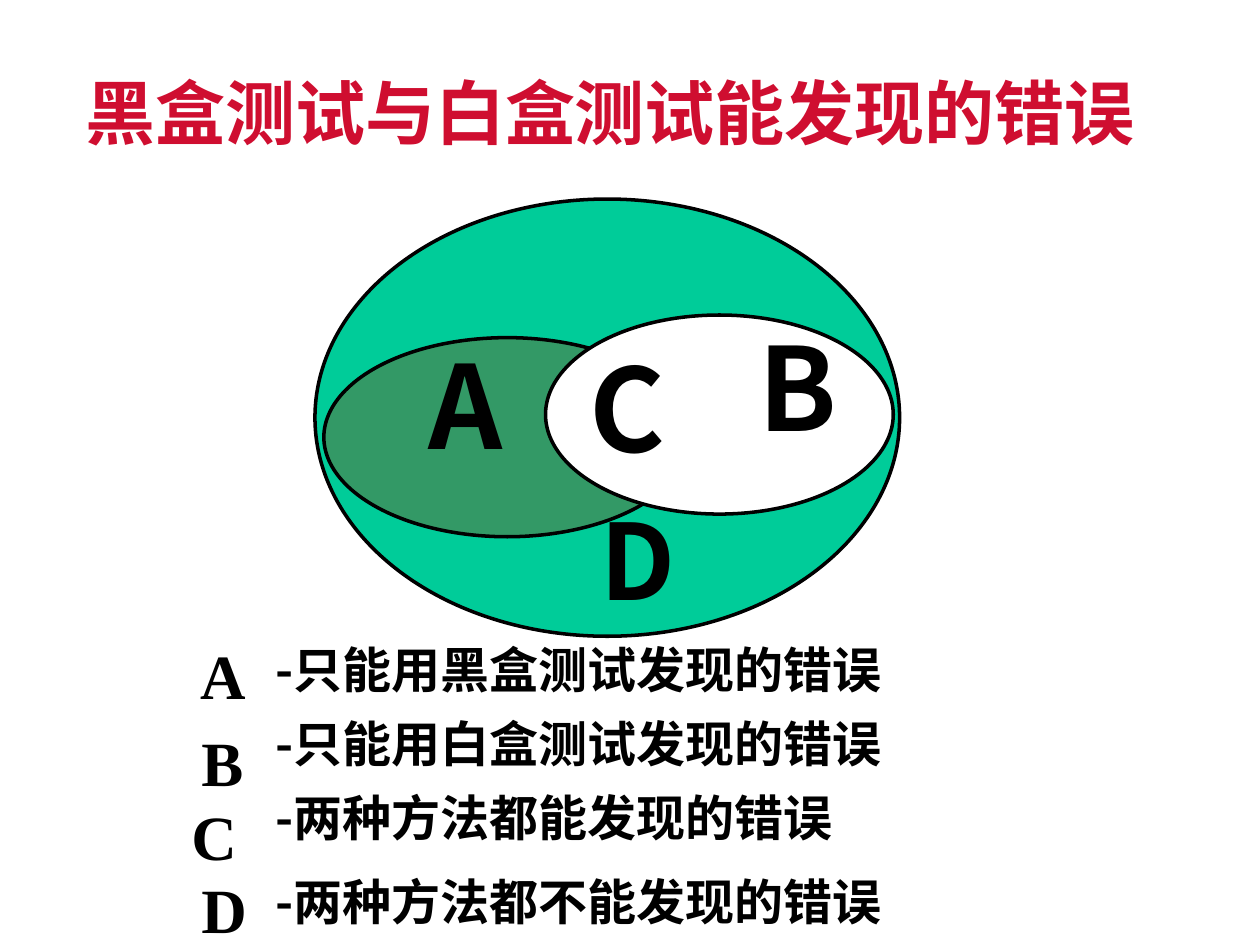
"""Build a slide comparing errors found by black-box and white-box testing."""
from lxml.etree import SubElement
from pptx import Presentation
from pptx.dml.color import RGBColor
from pptx.enum.shapes import MSO_SHAPE as SHAPE
from pptx.enum.text import MSO_ANCHOR as ANCHOR
from pptx.oxml.ns import qn
from pptx.util import Inches, Pt

BLACK = RGBColor(0x00, 0x00, 0x00)
WHITE = RGBColor(0xFF, 0xFF, 0xFF)
RED = RGBColor(0xCF, 0x0E, 0x30)
TEAL = RGBColor(0x00, 0xCC, 0x99)
GREEN = RGBColor(0x33, 0x99, 0x66)
SANS = "Noto Sans CJK SC"
TITLE_FONT = "Noto Sans CJK JP"
SERIF = "Times New Roman"

prs = Presentation()
prs.slide_width = Inches(10)
prs.slide_height = Inches(7.5)
slide = prs.slides.add_slide(prs.slide_layouts[6])


def add_set(left, top, width, height, color):
    ellipse = slide.shapes.add_shape(
        SHAPE.OVAL, Inches(left), Inches(top), Inches(width), Inches(height))
    ellipse.shadow.inherit = False
    ellipse.fill.solid()
    ellipse.fill.fore_color.rgb = color
    ellipse.line.color.rgb = BLACK
    ellipse.line.width = Pt(2)


def add_text(text, left, top, width, height, size, font=SANS, color=BLACK):
    frame = slide.shapes.add_textbox(
        Inches(left), Inches(top), Inches(width), Inches(height)).text_frame
    frame.word_wrap = True
    frame.vertical_anchor = ANCHOR.BOTTOM if font == SERIF else ANCHOR.TOP
    paragraph = frame.paragraphs[0]
    paragraph.text = text
    if font != SERIF:
        paragraph.line_spacing = 0.9
    paragraph.font.size = Pt(size)
    paragraph.font.bold = True
    paragraph.font.color.rgb = color
    paragraph.font.name = font
    defaults = paragraph._p.pPr.find(qn("a:defRPr"))
    SubElement(defaults, qn("a:ea")).set("typeface", font)


add_set(2.5, 1.58, 4.64, 3.47, TEAL)
add_set(2.57, 2.68, 2.91, 1.58, GREEN)
add_text("黑盒测试与白盒测试能发现的错误", 0.58, 0.58, 8.92, 0.83, 40, TITLE_FONT, RED)
add_set(4.33, 2.5, 2.76, 1.58, WHITE)

for region, left, top in [("C", 4.58, 2.75), ("B", 5.92, 2.58), ("A", 3.3, 2.73)]:
    add_text(region, left, top, 0.69, 1.2, 66)
add_text("D", 4.67, 4, 0.76, 1.1, 60)

legend = [
    ("A", 1.49, 5, "-只能用黑盒测试发现的错误", 5.08),
    ("B", 1.5, 5.69, "-只能用白盒测试发现的错误", 5.67),
    ("C", 1.42, 6.28, "-两种方法都能发现的错误", 6.25),
    ("D", 1.5, 6.86, "-两种方法都不能发现的错误", 6.92),
]
for region, region_left, region_top, meaning, meaning_top in legend:
    add_text(meaning, 2.09, meaning_top, 7.41, 0.56, 28)
    add_text(region, region_left, region_top, 0.76, 0.7, 36, SERIF)

prs.save("out.pptx")
